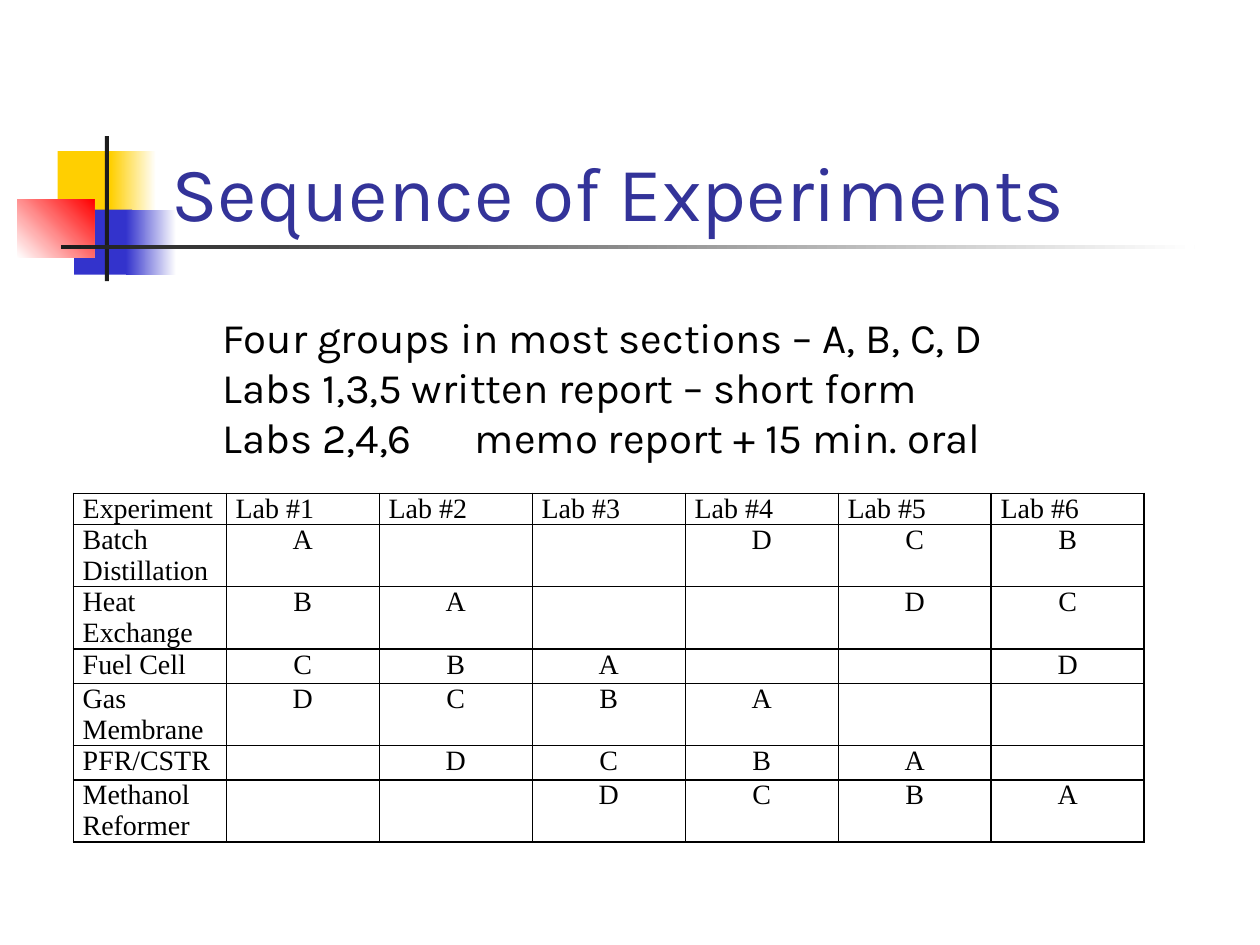
from pptx import Presentation
from pptx import util as u
from pptx.dml import color
from pptx.enum import shapes, text
from pptx.oxml import ns
from lxml import etree

COLORS = {"yellow": "FFCF01", "blue": "3333CC", "red": "FF0000", "white": "FFFFFF",
          "dark": "1C1C1C", "title": "333399", "black": "000000"}
EXPERIMENTS = ["Batch Distillation", "Heat Exchange", "Fuel Cell",
               "Gas Membrane", "PFR/CSTR", "Methanol Reformer"]
ROTATION = ["A", "", "", "D", "C", "B"]
SUMMARY = ["Four groups in most sections – A, B, C, D",
           "Labs 1,3,5\twritten report – short form",
           "Labs 2,4,6\tmemo report + 15 min. oral"]
TITLE_FONT = {"name": "Karla", "size": u.Pt(44)}
BODY_FONT = {"name": "Karla", "size": u.Pt(24)}
CELL_FONT = {"name": "Times New Roman", "size": u.Pt(16), "bold": False}
CELL_FORMAT = {"margin_left": u.Pt(5.4), "margin_right": u.Pt(5.4),
               "margin_top": 0, "margin_bottom": 0}
FRAME_FORMAT = {"auto_size": text.MSO_AUTO_SIZE.NONE, "word_wrap": True}


def rgb(name):
    return color.RGBColor.from_string(COLORS[name])


def apply(target, values):
    for name, value in values.items():
        setattr(target, name, value)


def place(shape, box):
    apply(shape, dict(zip(("left", "top", "width", "height"), map(u.Pt, box))))


def write(paragraph, words, font, color_name, align=text.PP_ALIGN.LEFT):
    paragraph.alignment = align
    run = paragraph.add_run()
    run.text = words
    apply(run.font, font)
    run.font.color.rgb = rgb(color_name)


def add_block(slide, box, colors, angle=0):
    shape = slide.shapes.add_shape(shapes.MSO_SHAPE.RECTANGLE, *map(u.Pt, box))
    shape.shadow.inherit = False
    shape.line.fill.background()
    if len(colors) == 1:
        shape.fill.solid()
        shape.fill.fore_color.rgb = rgb(colors[0])
    else:
        shape.fill.gradient()
        shape.fill.gradient_angle = angle
        for stop, name in zip(shape.fill.gradient_stops, colors):
            stop.color.rgb = rgb(name)


def add_ornament(slide, left, top):
    blocks = [((23, 8.6, 34.6, 37.4), ["yellow"], 0),
              ((53.3, 8.6, 26, 37.4), ["yellow", "white"], 0),
              ((32.5, 42, 33.1, 37.2), ["blue"], 0),
              ((62, 42, 28.8, 37.2), ["blue", "white"], 0),
              ((0, 36, 44, 33.4), ["white", "red"], 45),
              ((50, 0, 2.3, 82.8), ["dark"], 0),
              ((24.8, 62.2, 648, 2.5), ["dark", "white"], 0)]
    for (x, y, width, height), colors, angle in blocks:
        add_block(slide, (left + x, top + y, width, height), colors, angle)


def add_title(slide, box):
    title = slide.shapes.title
    place(title, box)
    apply(title.text_frame, {**FRAME_FORMAT, "vertical_anchor": text.MSO_ANCHOR.BOTTOM})
    write(title.text_frame.paragraphs[0], "Sequence of Experiments", TITLE_FONT, "title")


def add_summary(slide, box):
    body = slide.placeholders[1]
    place(body, box)
    frame = body.text_frame
    apply(frame, {**FRAME_FORMAT, "vertical_anchor": text.MSO_ANCHOR.TOP})
    for index, words in enumerate(SUMMARY):
        paragraph = frame.add_paragraph() if index else frame.paragraphs[0]
        paragraph.space_before = u.Pt(0)
        write(paragraph, words, BODY_FONT, "black")
        properties = paragraph._p.get_or_add_pPr()
        apply_indent = {"marL": "0", "indent": "0"}
        for name, value in apply_indent.items():
            properties.set(name, value)
        etree.SubElement(properties, ns.qn("a:buNone"))
        tabs = etree.SubElement(properties, ns.qn("a:tabLst"))
        etree.SubElement(tabs, ns.qn("a:tab"), pos=str(u.Pt(144)), algn="l")


def add_borders(cell):
    properties = cell._tc.get_or_add_tcPr()
    for index, side in enumerate(("lnL", "lnR", "lnT", "lnB")):
        line = etree.Element(ns.qn(f"a:{side}"), w=str(u.Pt(1)))
        fill = etree.SubElement(line, ns.qn("a:solidFill"))
        etree.SubElement(fill, ns.qn("a:srgbClr"), val=COLORS["black"])
        properties.insert(index, line)


def add_schedule(slide, left, top, width, line_height):
    labs = len(ROTATION)
    rows = [["Experiment"] + [f"Lab #{lab + 1}" for lab in range(labs)]]
    for index, experiment in enumerate(EXPERIMENTS):
        rows.append([experiment] + [ROTATION[(lab - index) % labs] for lab in range(labs)])
    heights = [line_height * len(row[0].split()) if row[0] != "Fuel Cell" else line_height
               for row in rows]
    table = slide.shapes.add_table(len(rows), labs + 1, u.Pt(left), u.Pt(top),
                                   u.Pt(width), u.Pt(sum(heights))).table
    apply(table, {"first_row": False, "horz_banding": False})
    for column in table.columns:
        column.width = u.Pt(width / (labs + 1))
    for row_index, (row, height) in enumerate(zip(rows, heights)):
        table.rows[row_index].height = u.Pt(height)
        for column_index, words in enumerate(row):
            cell = table.cell(row_index, column_index)
            apply(cell, CELL_FORMAT)
            cell.fill.background()
            add_borders(cell)
            paragraph = cell.text_frame.paragraphs[0]
            if words:
                centred = row_index and column_index
                align = text.PP_ALIGN.CENTER if centred else text.PP_ALIGN.LEFT
                write(paragraph, words, CELL_FONT, "black", align)
            else:
                etree.SubElement(paragraph._p, ns.qn("a:endParaRPr"), sz="1600")


def build_slide(presentation):
    slide = presentation.slides.add_slide(presentation.slide_layouts[1])
    add_ornament(slide, 9.9, 77.8)
    add_title(slide, (90.7, 49, 613.4, 90))
    add_summary(slide, (120.2, 174.2, 480.2, 94.3))
    add_schedule(slide, 41.9, 281.9, 612, 17.7)


presentation = Presentation()
apply(presentation, {"slide_width": u.Pt(720), "slide_height": u.Pt(540)})
build_slide(presentation)
presentation.save("out.pptx")
